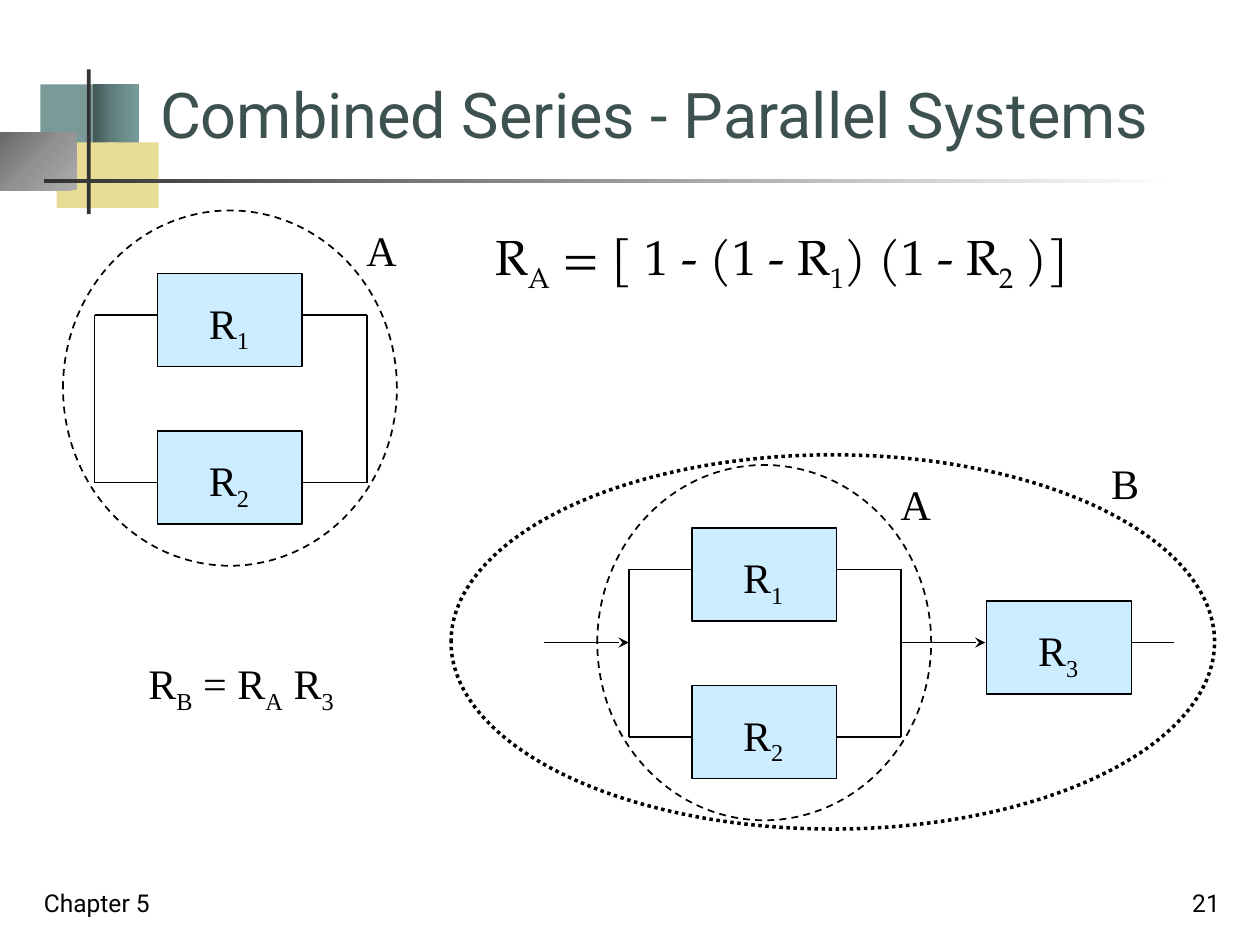
from lxml import etree
from pptx import Presentation
from pptx.dml.color import RGBColor
from pptx.enum.dml import MSO_LINE
from pptx.enum.shapes import MSO_CONNECTOR, MSO_SHAPE
from pptx.enum.text import MSO_ANCHOR as ANCHOR, MSO_AUTO_SIZE, PP_ALIGN as ALIGN
from pptx.oxml import parse_xml
from pptx.oxml.ns import nsdecls, qn
from pptx.util import Inches, Pt

color = RGBColor.from_string
SERIF = {"name": "Times New Roman", "size": Pt(24)}
FOOTER = {"name": "Roboto", "size": Pt(14)}


def set_text(shape, text, font, hex_color="000000", align=ALIGN.LEFT,
             anchor=ANCHOR.TOP, wrap=True):
    """Fill a shape with text; the character after each "_" is a subscript."""
    frame = shape.text_frame
    frame_format = {"word_wrap": wrap, "vertical_anchor": anchor,
                    "auto_size": MSO_AUTO_SIZE.NONE}
    for name, value in frame_format.items():
        setattr(frame, name, value)
    paragraph = frame.paragraphs[0]
    paragraph.alignment = align
    first, *rest = text.split("_")
    pieces = [(first, False)]
    for part in rest:
        pieces += [(part[0], True), (part[1:], False)]
    for piece, is_subscript in pieces:
        if not piece:
            continue
        run = paragraph.add_run()
        run.text = piece
        for name, value in font.items():
            setattr(run.font, name, value)
        run.font.color.rgb = color(hex_color)
        if is_subscript:
            run._r.get_or_add_rPr().set("baseline", "-25000")


def add_line(x1, y1, x2, y2, arrow=False):
    connector = slide.shapes.add_connector(
        MSO_CONNECTOR.STRAIGHT, Inches(x1), Inches(y1), Inches(x2), Inches(y2))
    connector.line.color.rgb = color("000000")
    connector.line.width = Pt(1)
    if arrow:
        tail = etree.SubElement(connector.line._get_or_add_ln(), qn("a:tailEnd"))
        tail.set("type", "stealth")
    etree.SubElement(connector._element.spPr, qn("a:effectLst"))


presentation = Presentation()
presentation.slide_width = Inches(10)
presentation.slide_height = Inches(7.5)
slide = presentation.slides.add_slide(presentation.slide_layouts[1])

# Corner decoration: a hex string is a solid fill, a list is gradient stops
linear = '<a:lin ang="0" scaled="0"/>'
radial = '<a:path path="circle"><a:fillToRect r="100000" b="100000"/></a:path>'
decoration = [
    (0.32, 0.67, 0.48, 0.52, "7A9A98", None),
    (0.74, 0.67, 0.36, 0.52, ["435958", "638381", "789C9A"], linear),
    (0.45, 1.13, 0.46, 0.52, "E7DD95", None),
    (0.86, 1.13, 0.4, 0.52, "E7DD95", None),
    (0, 1.05, 0.61, 0.46, ["676767", "929292", "ADADAD"], radial),
    (0.69, 0.55, 0.03, 1.15, "333333", None),
    (0.35, 1.42, 9, 0.03, ["333333", "FFFFFF"], linear),
]
for *box, fill, direction in decoration:
    shape = slide.shapes.add_shape(MSO_SHAPE.RECTANGLE, *map(Inches, box))
    shape.shadow.inherit = False
    shape.line.fill.background()
    if direction is None:
        shape.fill.solid()
        shape.fill.fore_color.rgb = color(fill)
        continue
    stops = "".join(
        f'<a:gs pos="{100000 * i // (len(fill) - 1)}"><a:srgbClr val="{stop}"/></a:gs>'
        for i, stop in enumerate(fill))
    shape.fill.gradient()
    properties = shape._element.spPr
    properties.replace(properties.find(qn("a:gradFill")), parse_xml(
        f'<a:gradFill {nsdecls("a")} rotWithShape="1">'
        f'<a:gsLst>{stops}</a:gsLst>{direction}</a:gradFill>'))

# Title and formula
title, body = slide.placeholders
placeholders = [
    (title, (1.17, 0.51, 8.16, 0.74), "Combined Series - Parallel Systems",
     {"name": "Roboto", "size": Pt(36)}, "3D5150", ANCHOR.BOTTOM),
    (body, (3.83, 1.75, 5.32, 0.79), "R_A = [ 1 - (1 - R_1) (1 - R_2 )]",
     {"name": "TeX Gyre Pagella", "size": Pt(28)}, "000000", ANCHOR.TOP),
]
for shape, box, text, font, hex_color, anchor in placeholders:
    for name, value in zip(("left", "top", "width", "height"), box):
        setattr(shape, name, Inches(value))
    set_text(shape, text, font, hex_color, anchor=anchor)
paragraph_properties = body.text_frame.paragraphs[0]._p.get_or_add_pPr()
paragraph_properties.set("marL", "0")
paragraph_properties.set("indent", "0")
etree.SubElement(paragraph_properties, qn("a:buNone"))

# Footer
for left, text, align in [(0.25, "Chapter 5", ALIGN.LEFT), (7.7, "21", ALIGN.RIGHT)]:
    textbox = slide.shapes.add_textbox(
        Inches(left), Inches(6.83), Inches(2.08), Inches(0.5))
    set_text(textbox, text, FOOTER, align=align, anchor=ANCHOR.BOTTOM)

# Parallel block A, alone and inside system B
blocks = [(7.83, 4.77, "R_3")]
ellipses = [(3.58, 3.61, 6.06, 2.97, 2, MSO_LINE.ROUND_DOT)]
labels = [(8.72, 3.58, 0.42, "B"), (1.08, 5.17, 1.81, "R_B = R_A R_3")]
for x, y in [(0.5, 1.67), (4.74, 3.69)]:
    left_rail, right_rail = x + 0.25, x + 2.41
    upper, lower = y + 0.83, y + 2.16
    blocks += [(x + 0.75, y + 0.5, "R_1"), (x + 0.75, y + 1.75, "R_2")]
    ellipses.append((x, y, 2.65, 2.82, 1, MSO_LINE.DASH))
    labels.append((x + 2.31, y + 0.06, 0.44, "A"))
    for rail, block_side in [(left_rail, x + 0.75), (right_rail, x + 1.9)]:
        add_line(rail, upper, rail, lower)
        for level in (upper, lower):
            add_line(rail, level, block_side, level)

# Series connections through system B
add_line(4.32, 5.1, 4.99, 5.1, arrow=True)
add_line(7.15, 5.1, 7.82, 5.1, arrow=True)
add_line(8.98, 5.1, 9.32, 5.1)

for left, top, text in blocks:
    block = slide.shapes.add_shape(
        MSO_SHAPE.RECTANGLE, Inches(left), Inches(top), Inches(1.15), Inches(0.74))
    block.shadow.inherit = False
    block.fill.solid()
    block.fill.fore_color.rgb = color("CCECFF")
    block.line.color.rgb = color("000000")
    block.line.width = Pt(1)
    labels.append((left + 0.31, top + 0.14, 0.53, text))

for *box, width, dash in ellipses:
    ellipse = slide.shapes.add_shape(MSO_SHAPE.OVAL, *map(Inches, box))
    ellipse.shadow.inherit = False
    ellipse.fill.background()
    ellipse.line.color.rgb = color("000000")
    ellipse.line.width = Pt(width)
    ellipse.line.dash_style = dash

for left, top, width, text in labels:
    textbox = slide.shapes.add_textbox(
        Inches(left), Inches(top), Inches(width), Inches(0.5))
    set_text(textbox, text, SERIF, wrap=False)

presentation.save("out.pptx")
